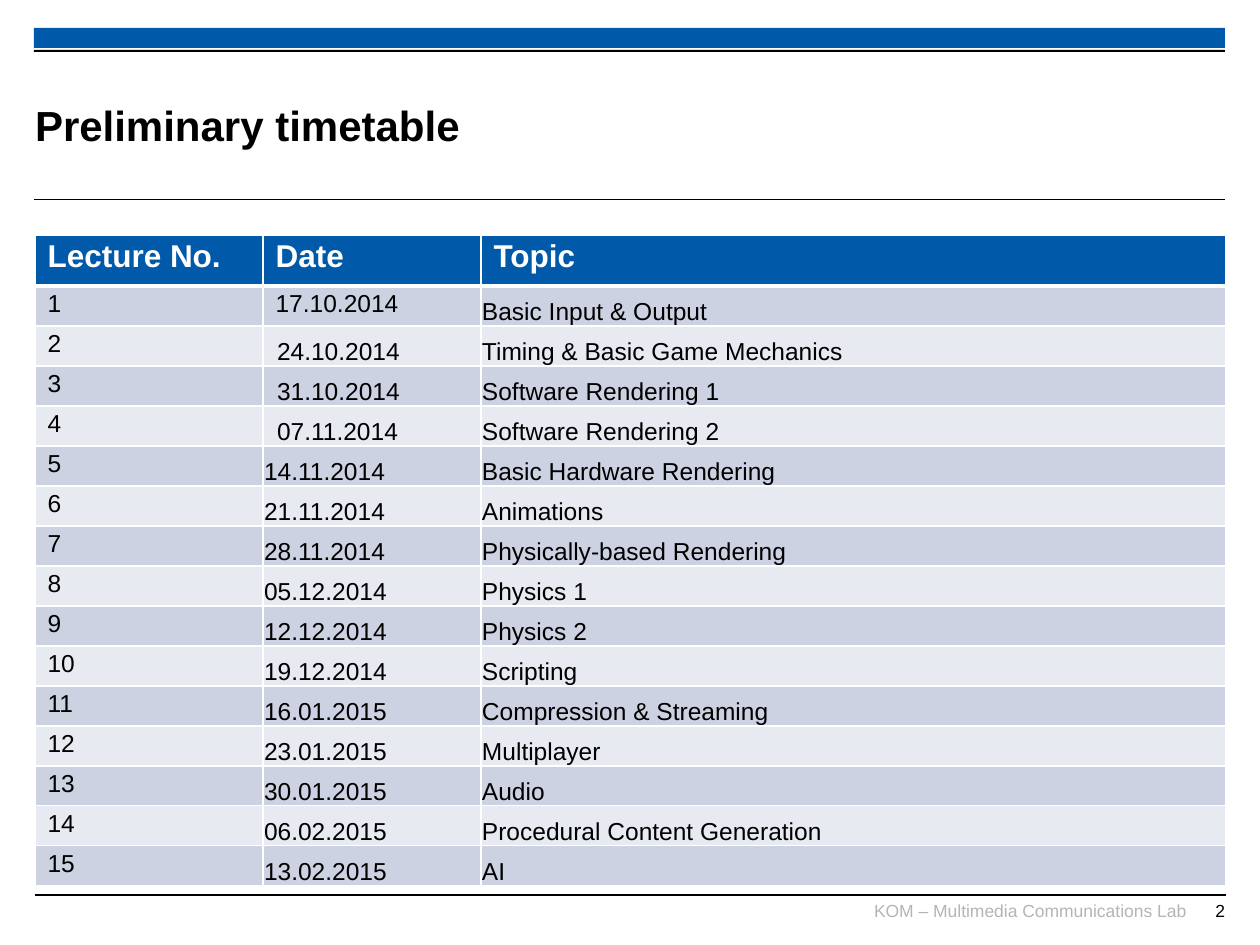
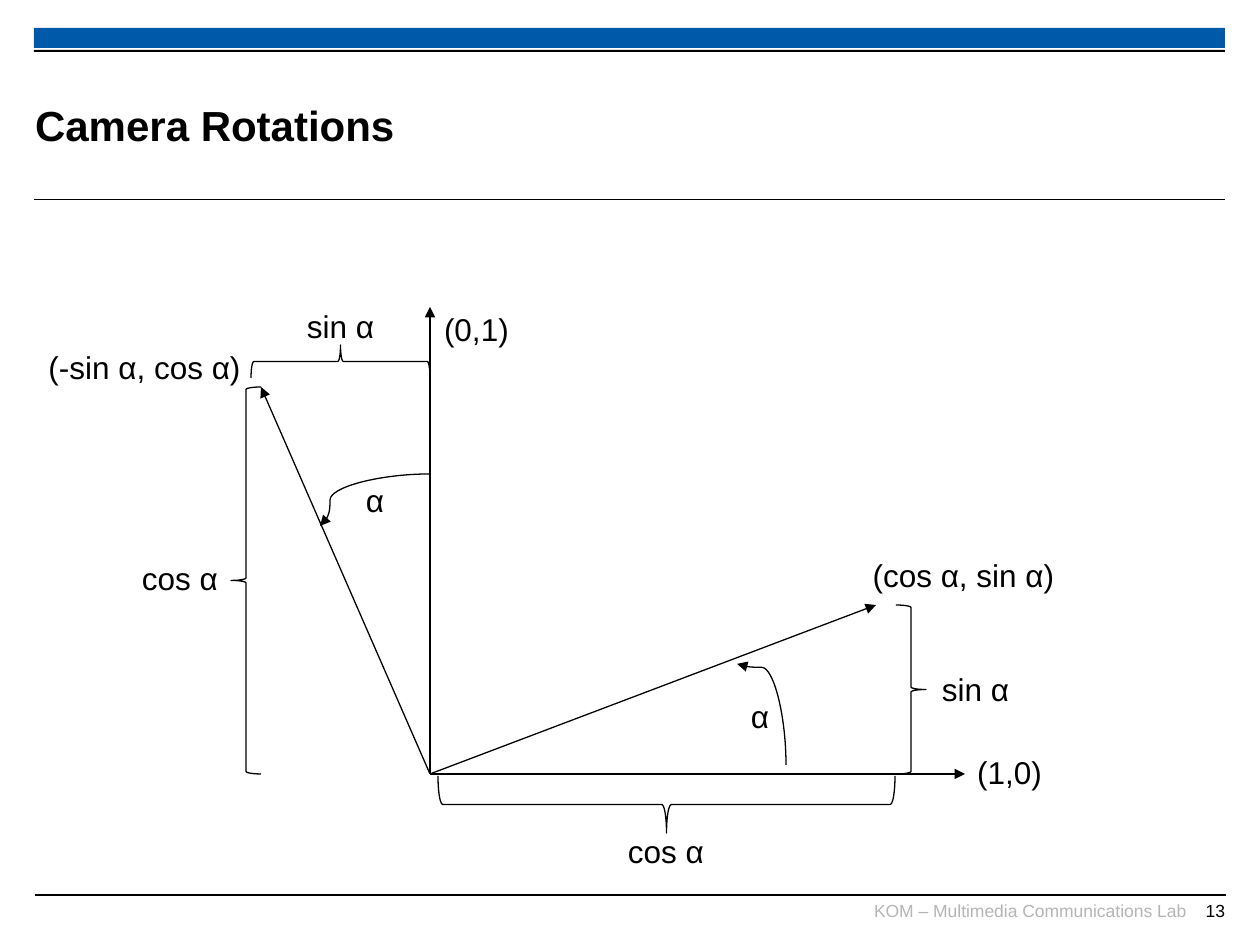
from lxml import etree
from pptx import Presentation
from pptx.dml.color import RGBColor
from pptx.enum.shapes import MSO_CONNECTOR, MSO_SHAPE
from pptx.enum.text import MSO_ANCHOR, MSO_AUTO_SIZE, PP_ALIGN
from pptx.oxml.ns import qn
from pptx.util import Pt

BLUE = RGBColor(0x00, 0x5A, 0xA9)
BLACK = RGBColor(0x00, 0x00, 0x00)
WHITE = RGBColor(0xFF, 0xFF, 0xFF)
GREY = RGBColor(0xB5, 0xB5, 0xB5)
DARK = RGBColor(0xCC, 0xD2, 0xE2)
LIGHT = RGBColor(0xE7, 0xEA, 0xF1)

LEFT, CENTER, RIGHT = PP_ALIGN.LEFT, PP_ALIGN.CENTER, PP_ALIGN.RIGHT
TOP, MIDDLE, BOTTOM = MSO_ANCHOR.TOP, MSO_ANCHOR.MIDDLE, MSO_ANCHOR.BOTTOM
FIT, FIXED = MSO_AUTO_SIZE.SHAPE_TO_FIT_TEXT, MSO_AUTO_SIZE.NONE
LINE, CURVE = MSO_CONNECTOR.STRAIGHT, MSO_CONNECTOR.CURVE
RECT = MSO_SHAPE.RECTANGLE
OPEN, CLOSE = MSO_SHAPE.LEFT_BRACE, MSO_SHAPE.RIGHT_BRACE

SCALE = 914400 / 126
SIZE = 1260, 945
SPACING = 0.93

# Shared parts: left, top, width, height
BARS = [((34, 28, 1191, 20), BLUE), ((34, 50, 1191, 2), BLACK)]
RULES = [((34, 200), (1225, 200)), ((35, 895), (1226, 895))]
TITLE_BOX = 35, 67, 948, 116
FOOT = "KOM – Multimedia Communications Lab"
FOOT_BOX = 868, 900, 318, 32
NUMBER_BOX = 1171, 900, 54, 30

HEADS = ["Lecture No.", "Date", "Topic"]
LECTURES = [
    ("17.10.2014", "Basic Input & Output"),
    ("24.10.2014", "Timing & Basic Game Mechanics"),
    ("31.10.2014", "Software Rendering 1"),
    ("07.11.2014", "Software Rendering 2"),
    ("14.11.2014", "Basic Hardware Rendering"),
    ("21.11.2014", "Animations"),
    ("28.11.2014", "Physically-based Rendering"),
    ("05.12.2014", "Physics 1"),
    ("12.12.2014", "Physics 2"),
    ("19.12.2014", "Scripting"),
    ("16.01.2015", "Compression & Streaming"),
    ("23.01.2015", "Multiplayer"),
    ("30.01.2015", "Audio"),
    ("06.02.2015", "Procedural Content Generation"),
    ("13.02.2015", "AI"),
]
TABLE_AT = 35, 235
COLS = [228, 218, 745]
HEAD_HIGH, ROW_HIGH = 51, 40
INDENTED = range(2, 5)  # rows whose date is set in from the edge

ORIGIN = 430, 774
TIPS = [(430, 307), (965, 774), (261, 387), (876, 605)]
BRACES = [
    (CLOSE, (896, 605, 30, 169), 0),
    (OPEN, (231, 387, 30, 387), 0),
    (OPEN, (324, 272, 33, 179), 90),
    (CLOSE, (638, 576, 57, 457), 90),
]
# Frame before turning, turn in degrees, bend in 1/100000
ARCS = [((711, 690, 101, 49), 270, 96700), ((320, 474, 110, 52), 180, 90900)]
LABEL_HIGH = 48
LABELS = [
    ("sin α", 911, 667, 129),
    ("cos α", 615, 829, 102),
    ("cos α", 129, 556, 102),
    ("sin α", 294, 304, 93),
    ("(0,1)", 431, 307, 91),
    ("(1,0)", 964, 750, 91),
    ("(cos α, sin α)", 859, 553, 209),
    ("(-sin α, cos α)", 35, 345, 219),
    ("α", 738, 694, 44),
    ("α", 353, 478, 44),
]

FLUSH = dict(margin_left=0, margin_top=0, margin_right=0, margin_bottom=0)


def px(*vals):
    return [round(v * SCALE) for v in vals]


def apply(obj, vals):
    for key, val in vals.items():
        setattr(obj, key, val)


def write(frame, text, size, color=BLACK, bold=False, align=LEFT, space=None):
    para = frame.paragraphs[0]
    para.text = text
    apply(para, dict(alignment=align, line_spacing=space))
    font = para.runs[0].font
    apply(font, dict(name="Arial", size=Pt(size), bold=bold))
    font.color.rgb = color


def add_text(slide, box, text, size, form, **style):
    frame = slide.shapes.add_textbox(*px(*box)).text_frame
    write(frame, text, size, **style)
    apply(frame, form)


def add_line(slide, start, end, width, kind=LINE, arrow=False):
    line = slide.shapes.add_connector(kind, *px(*start, *end))
    line.line.color.rgb = BLACK
    line.line.width = Pt(width)
    if arrow:
        etree.SubElement(line.line._get_or_add_ln(), qn("a:tailEnd"), type="triangle")
    etree.SubElement(line._element.spPr, qn("a:effectLst"))
    return line


def add_arc(slide, box, turn, bend):
    x, y, w, h = box
    arc = add_line(slide, (x, y + h), (x + w, y), 0.75, CURVE, True)
    props = arc._element.spPr
    props.find(qn("a:xfrm")).set("rot", str(turn * 60000))
    guides = props.find(qn("a:prstGeom")).find(qn("a:avLst"))
    etree.SubElement(guides, qn("a:gd"), name="adj1", fmla=f"val {bend}")


def add_slide(deck, title, number):
    slide = deck.slides.add_slide(deck.slide_layouts[5])
    for box, color in BARS:
        bar = slide.shapes.add_shape(RECT, *px(*box))
        bar.shadow.inherit = False
        bar.fill.solid()
        bar.fill.fore_color.rgb = color
        bar.line.fill.background()
    for start, end in RULES:
        add_line(slide, start, end, 0.6)
    form = dict(FLUSH, word_wrap=True)
    add_text(slide, FOOT_BOX, FOOT, 10, form, color=GREY, align=RIGHT)
    add_text(slide, NUMBER_BOX, str(number), 10, form, align=RIGHT)
    head = slide.shapes.title
    apply(head, dict(zip(("left", "top", "width", "height"), px(*TITLE_BOX))))
    write(head.text_frame, title, 24, bold=True)
    apply(head.text_frame, dict(form, vertical_anchor=MIDDLE, auto_size=FIXED))
    return slide


def edge(cell, widths):
    """Draw white borders, given as left, right, top, bottom points."""
    props = cell._tc.get_or_add_tcPr()
    for i, (side, width) in enumerate(zip("LRTB", widths)):
        line = etree.Element(qn("a:ln" + side), w=str(Pt(width)))
        fill = etree.SubElement(line, qn("a:solidFill"))
        etree.SubElement(fill, qn("a:srgbClr"), val=str(WHITE))
        props.insert(i, line)


def timetable(deck):
    slide = add_slide(deck, "Preliminary timetable", 2)
    rows = [HEADS] + [(str(n), *row) for n, row in enumerate(LECTURES, 1)]
    highs = [HEAD_HIGH] + [ROW_HIGH] * len(LECTURES)
    box = px(*TABLE_AT, sum(COLS), sum(highs))
    table = slide.shapes.add_table(len(rows), len(COLS), *box).table
    table.horz_banding = False
    for col, width in zip(table.columns, px(*COLS)):
        col.width = width
    for row, high in zip(table.rows, px(*highs)):
        row.height = high
    thin, = px(1)
    inset, = px(14)
    tight = dict(margin_left=thin, margin_top=thin, margin_right=thin,
                 margin_bottom=0, vertical_anchor=BOTTOM)
    for r, row in enumerate(rows):
        for c, text in enumerate(row):
            cell = table.cell(r, c)
            cell.fill.solid()
            if r == 0:
                write(cell.text_frame, text, 18, WHITE, True, space=SPACING)
                cell.fill.fore_color.rgb = BLUE
            else:
                write(cell.text_frame, text, 14, space=SPACING)
                cell.fill.fore_color.rgb = DARK if r % 2 else LIGHT
                if c == 2 or c == 1 and r > 1:
                    apply(cell, tight)
                if c == 1 and r in INDENTED:
                    cell.margin_left = inset
            edge(cell, (1, 1, 3 if r == 1 else 1, 3 if r == 0 else 1))


def rotations(deck):
    slide = add_slide(deck, "Camera Rotations", 13)
    for tip in TIPS:
        add_line(slide, ORIGIN, tip, 0.75, arrow=True)
    for kind, box, turn in BRACES:
        brace = slide.shapes.add_shape(kind, *px(*box))
        brace.rotation = turn
        brace.shadow.inherit = False
        brace.fill.background()
        brace.line.color.rgb = BLACK
        brace.line.width = Pt(0.75)
    for arc in ARCS:
        add_arc(slide, *arc)
    form = dict(word_wrap=False, auto_size=FIT, vertical_anchor=TOP)
    for text, x, y, w in LABELS:
        add_text(slide, (x, y, w, LABEL_HIGH), text, 18, form,
                 align=CENTER, space=SPACING)


def main():
    deck = Presentation()
    deck.slide_width, deck.slide_height = px(*SIZE)
    timetable(deck)
    rotations(deck)
    deck.save("out.pptx")


if __name__ == "__main__":
    main()
